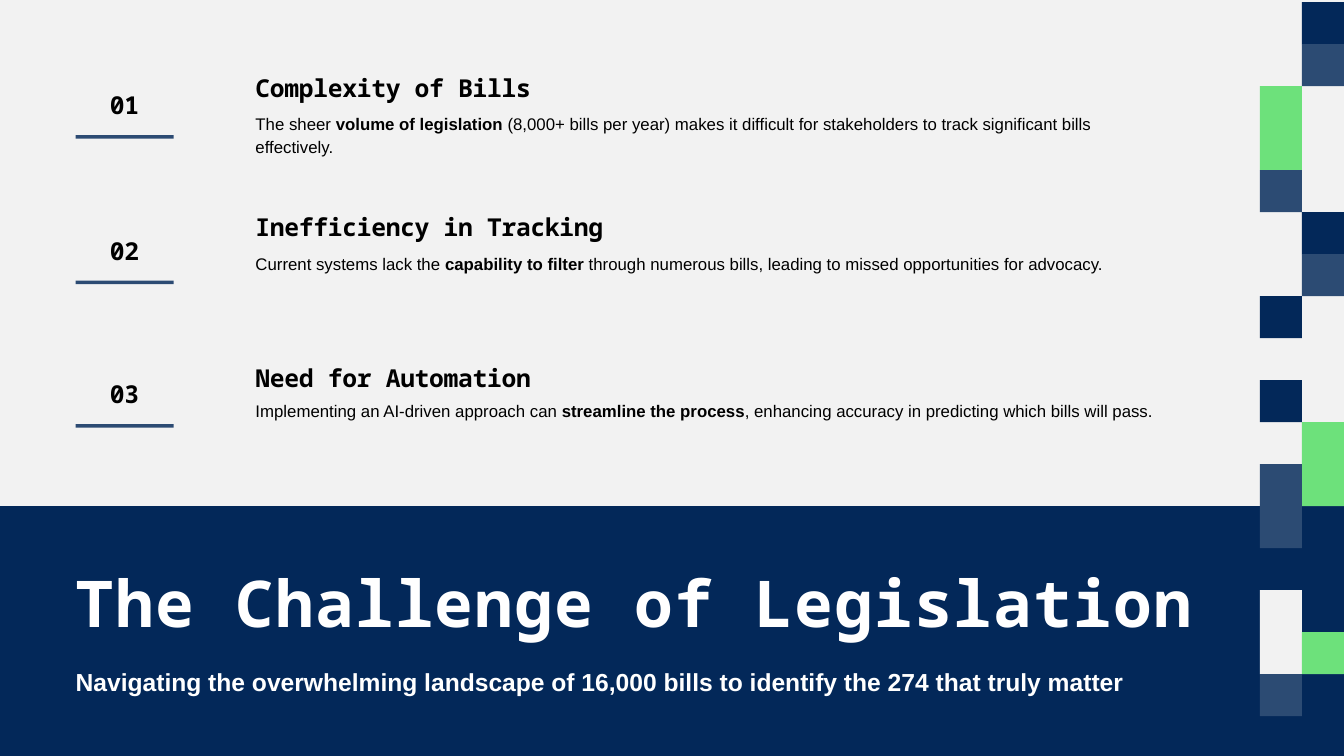
from dataclasses import dataclass

import pptx
import pptx.dml.color
import pptx.enum.shapes
import pptx.enum.text
import pptx.util

PX = 9525  # EMU per px, at 96 px to the inch
NAVY, SLATE, GREEN = "032859", "2C4B73", "6DE17B"
PALE, WHITE, BLACK = "F2F2F2", "FFFFFF", "000000"
MONO, SANS = "Noto Sans Mono", "Arial"
ALIGN = pptx.enum.text.PP_ALIGN


@dataclass(frozen=True)
class Style:
    font: str
    size: float
    color: str
    leading: float
    spacing: int = 0  # hundredths of a point
    align: ALIGN = ALIGN.LEFT


@dataclass(frozen=True)
class Challenge:
    number: str
    number_top: int
    heading: str
    heading_top: int
    body_top: int
    before: str
    key: str
    after: str


@dataclass(frozen=True)
class Tile:
    col: int
    row: int
    color: str
    rows: int = 1


HEADING = Style(MONO, 26.4, BLACK, 34.3, -30)
NUMBER = Style(MONO, 26.4, BLACK, 34.3, -30, ALIGN.CENTER)
BODY = Style(SANS, 18, BLACK, 25.2)
TITLE = Style(MONO, 69.1, WHITE, 82.9, 140)
SUBTITLE = Style(SANS, 26.4, WHITE, 36.9)

CHALLENGES = [
    Challenge("01", 125, "Complexity of Bills", 100, 157,
              "The sheer ", "volume of legislation",
              " (8,000+ bills per year) makes it difficult for stakeholders"
              " to track significant bills effectively."),
    Challenge("02", 333, "Inefficiency in Tracking", 299, 358,
              "Current systems lack the ", "capability to filter",
              " through numerous bills, leading to missed opportunities for advocacy."),
    Challenge("03", 538, "Need for Automation", 515, 568,
              "Implementing an AI-driven approach can ", "streamline the process",
              ", enhancing accuracy in predicting which bills will pass."),
]

TILE, MOSAIC_LEFT, MOSAIC_TOP = 60, 1800, 3
TILES = [
    Tile(1, 0, NAVY), Tile(1, 1, SLATE), Tile(0, 2, GREEN, 2), Tile(0, 4, SLATE),
    Tile(1, 5, NAVY), Tile(1, 6, SLATE), Tile(0, 7, NAVY), Tile(0, 9, NAVY),
    Tile(1, 10, GREEN, 2), Tile(0, 11, SLATE, 2), Tile(0, 14, PALE, 2),
    Tile(1, 15, GREEN), Tile(0, 16, SLATE),
]


def px(n: int) -> pptx.util.Emu:
    return pptx.util.Emu(n * PX)


def rgb(color: str) -> pptx.dml.color.RGBColor:
    return pptx.dml.color.RGBColor.from_string(color)


def add_rect(s, left: int, top: int, width: int, height: int, color: str) -> None:
    sp = s.shapes.add_shape(pptx.enum.shapes.MSO_SHAPE.RECTANGLE,
                            px(left), px(top), px(width), px(height))
    sp.shadow.inherit = False
    sp.fill.solid()
    sp.fill.fore_color.rgb = rgb(color)
    sp.line.fill.background()


def add_text(s, left: int, top: int, width: int, height: int,
             runs: list[tuple[str, bool]], style: Style) -> None:
    """Add one paragraph made of (text, bold) runs."""
    tf = s.shapes.add_textbox(px(left), px(top), px(width), px(height)).text_frame
    tf.word_wrap = True
    tf.auto_size = pptx.enum.text.MSO_AUTO_SIZE.SHAPE_TO_FIT_TEXT
    tf.margin_left = tf.margin_top = tf.margin_right = tf.margin_bottom = 0
    p = tf.paragraphs[0]
    p.alignment = style.align
    p.line_spacing = pptx.util.Pt(style.leading)
    for text, bold in runs:
        r = p.add_run()
        r.text = text
        r.font.name = style.font
        r.font.size = pptx.util.Pt(style.size)
        r.font.bold = bold
        r.font.color.rgb = rgb(style.color)
        if style.spacing:
            r._r.get_or_add_rPr().set("spc", str(style.spacing))


def add_challenge(s, c: Challenge) -> None:
    add_text(s, 365, c.heading_top, 1287, 44, [(c.heading, True)], HEADING)
    add_text(s, 365, c.body_top, 1287, 65,
             [(c.before, False), (c.key, True), (c.after, False)], BODY)
    add_rect(s, 108, c.number_top + 68, 140, 5, SLATE)
    add_text(s, 108, c.number_top, 140, 50, [(c.number, True)], NUMBER)


def add_tile(s, t: Tile) -> None:
    add_rect(s, MOSAIC_LEFT + t.col * TILE, MOSAIC_TOP + t.row * TILE,
             TILE, t.rows * TILE, t.color)


def main() -> None:
    prs = pptx.Presentation()
    prs.slide_width, prs.slide_height = px(1920), px(1080)
    s = prs.slides.add_slide(prs.slide_layouts[6])
    s.background.fill.solid()
    s.background.fill.fore_color.rgb = rgb(PALE)

    # Title band
    add_rect(s, 0, 723, 1920, 357, NAVY)
    add_text(s, 108, 805, 1600, 110, [("The Challenge of Legislation", True)], TITLE)
    add_text(s, 108, 946, 1600, 46,
             [("Navigating the overwhelming landscape of 16,000 bills"
               " to identify the 274 that truly matter", True)], SUBTITLE)

    # Numbered challenges
    for c in CHALLENGES:
        add_challenge(s, c)

    # Mosaic on the right edge
    for t in TILES:
        add_tile(s, t)

    prs.save("out.pptx")


if __name__ == "__main__":
    main()
